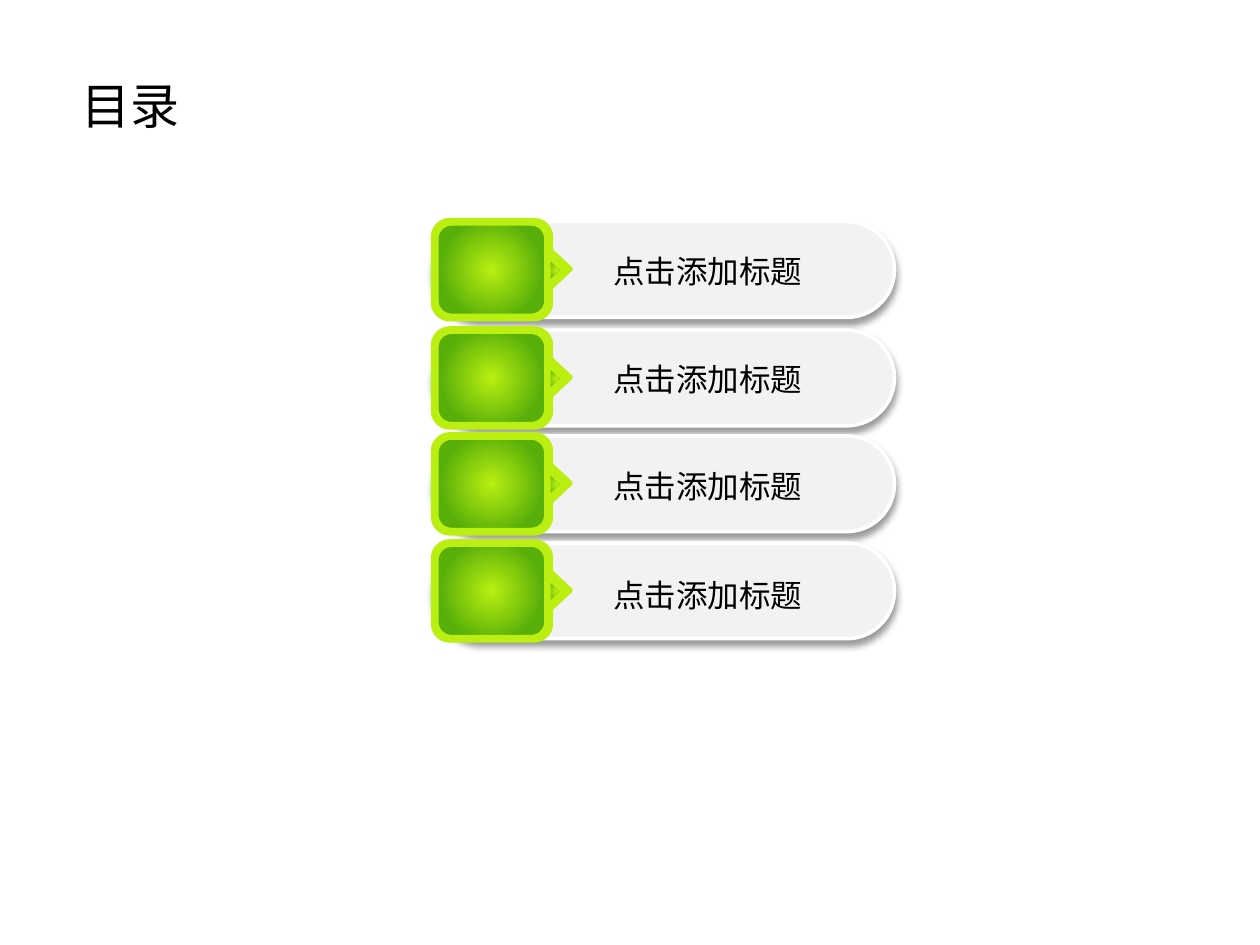
"""Build a contents slide with four green-tabbed entries."""
import pptx
import pptx.dml.color
import pptx.enum.dml
import pptx.enum.shapes
import pptx.enum.text
import pptx.oxml
import pptx.oxml.ns
import pptx.util
from lxml import etree

Inches = pptx.util.Inches
RGBColor = pptx.dml.color.RGBColor
ShapeKind = pptx.enum.shapes.MSO_SHAPE
qn = pptx.oxml.ns.qn

TITLE = "目录"
ENTRIES = [
    ("点击添加标题", 1.75, 1.95),
    ("点击添加标题", 2.61, 2.81),
    ("点击添加标题", 3.45, 3.66),
    ("点击添加标题", 4.30, 4.52),
]
FONT = "Noto Sans CJK SC"
BLACK = RGBColor(0x00, 0x00, 0x00)
WHITE = RGBColor(0xFF, 0xFF, 0xFF)
PALE = RGBColor(0xF2, 0xF2, 0xF2)
GREY = RGBColor(0xE4, 0xE4, 0xE4)
GREY_EDGE = RGBColor(0xD9, 0xD9, 0xD9)
LIME = RGBColor(0xBA, 0xEF, 0x11)
GREEN = RGBColor(0x58, 0xAF, 0x09)

TAB_PARTS = [
    (ShapeKind.ROUNDED_RECTANGLE, 3.44, 0, 0.93, 0.78, 0),
    (ShapeKind.ROUNDED_RECTANGLE, 3.46, 0.02, 0.88, 0.74, 0),
    (ShapeKind.ISOSCELES_TRIANGLE, 4.31, 0.31, 0.28, 0.15, 90),
    (ShapeKind.ISOSCELES_TRIANGLE, 4.30, 0.33, 0.23, 0.13, 90),
]
SHADOW = (
    '<a:effectLst xmlns:a="http://schemas.openxmlformats.org/drawingml/2006/main">'
    '<a:outerShdw blurRad="50800" dist="38100" dir="5400000" algn="t" rotWithShape="0">'
    '<a:srgbClr val="000000"><a:alpha val="40000"/></a:srgbClr>'
    "</a:outerShdw></a:effectLst>"
)


def add_text(page, text, left, top, width, height, *, size, wrap):
    box = page.shapes.add_textbox(*map(Inches, (left, top, width, height)))
    frame = box.text_frame
    frame.word_wrap = wrap
    frame.auto_size = pptx.enum.text.MSO_AUTO_SIZE.SHAPE_TO_FIT_TEXT
    span = frame.paragraphs[0].add_run()
    span.text = text
    span.font.size = pptx.util.Pt(size)
    span.font.name = FONT
    span.font.color.rgb = BLACK
    etree.SubElement(span.font._element, qn("a:ea"), typeface=FONT)


def add_outlined(page, kind, left, top, width, height, edge, weight):
    shape = page.shapes.add_shape(kind, *map(Inches, (left, top, width, height)))
    shape.shadow.inherit = False
    shape.line.color.rgb = edge
    shape.line.width = pptx.util.Pt(weight)
    return shape


def add_pill(page, left, top, width, height, color, edge):
    pill = add_outlined(page, ShapeKind.ROUNDED_RECTANGLE, left, top, width, height, edge, 2)
    pill.adjustments[0] = 0.5
    pill.fill.solid()
    pill.fill.fore_color.rgb = color
    return pill


def cast_shadow(shape):
    properties = shape._element.spPr
    properties.replace(properties.find(qn("a:effectLst")), pptx.oxml.parse_xml(SHADOW))


def fill_radial(shape):
    shape.fill.gradient()
    for stop, color, position in zip(shape.fill.gradient_stops, (LIME, GREEN), (0, 0.72)):
        stop.color.rgb = color
        stop.position = position
    gradient = shape._element.spPr.find(qn("a:gradFill"))
    gradient.remove(gradient.find(qn("a:lin")))
    circle = etree.SubElement(gradient, qn("a:path"), path="circle")
    etree.SubElement(circle, qn("a:fillToRect"), l="50000", t="50000", r="50000", b="50000")


def add_entry(page, top):
    add_pill(page, 3.72, top + 0.08, 2.66, 0.68, GREY, GREY_EDGE)
    cast_shadow(add_pill(page, 3.44, top + 0.01, 3.66, 0.76, PALE, WHITE))
    for kind, left, offset, width, height, turn in TAB_PARTS:
        part = add_outlined(page, kind, left, top + offset, width, height, LIME, 3)
        part.rotation = turn
        fill_radial(part)


def main():
    deck = pptx.Presentation()
    deck.slide_width, deck.slide_height = Inches(10), Inches(7.5)
    page = deck.slides.add_slide(deck.slide_layouts[6])
    for _, top, _ in ENTRIES:
        add_entry(page, top)
    add_text(page, TITLE, 0.55, 0.55, 1.09, 0.57, size=28, wrap=True)
    for label, _, label_top in ENTRIES:
        add_text(page, label, 4.77, label_top, 1.72, 0.4, size=18, wrap=False)
    deck.save("out.pptx")


if __name__ == "__main__":
    main()
